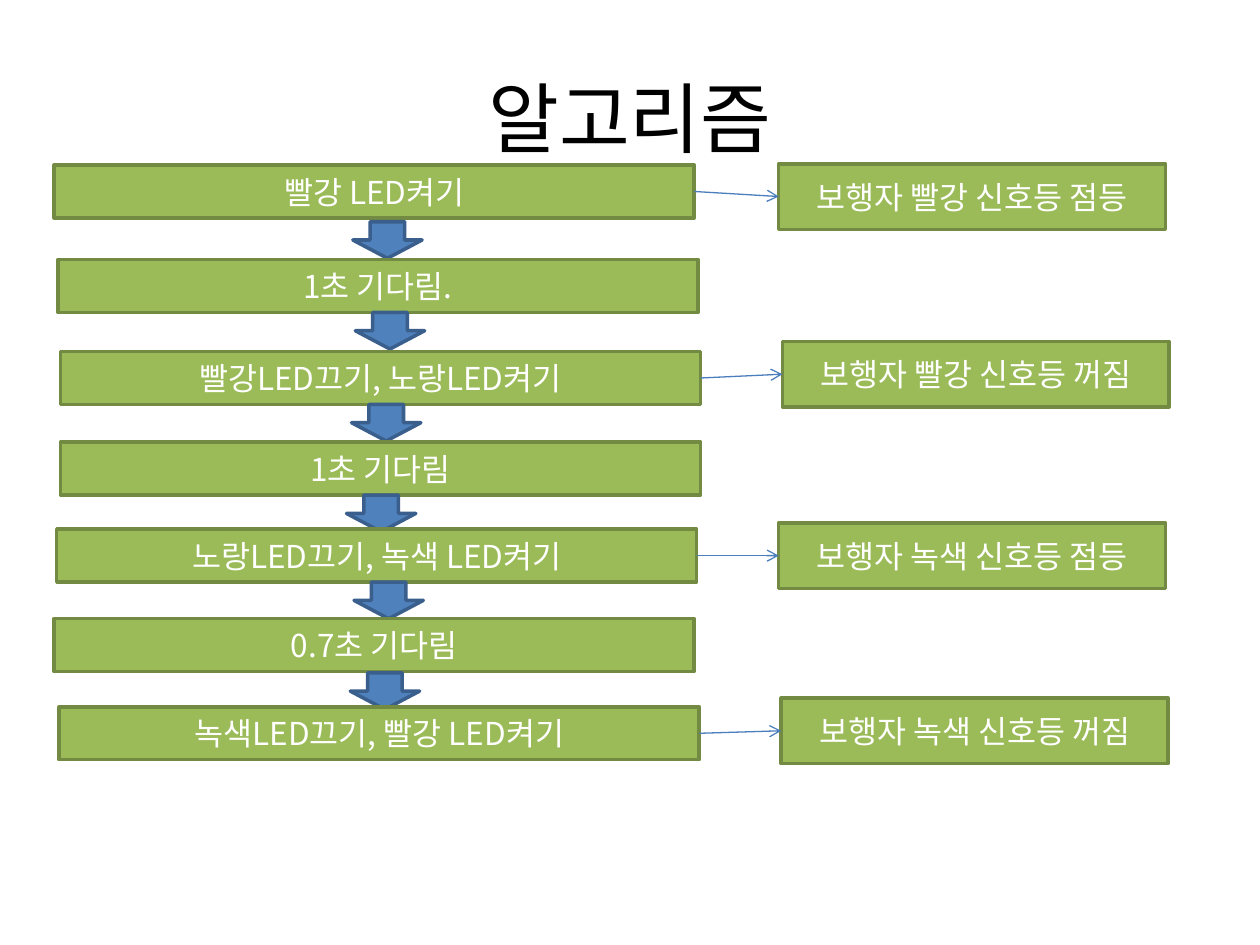
"""Build a flow-chart slide of a traffic-light algorithm."""
from dataclasses import dataclass
from typing import NamedTuple, Optional

from lxml.etree import SubElement
from pptx import Presentation
from pptx.dml.color import RGBColor
from pptx.enum.shapes import MSO_CONNECTOR as Connector, MSO_SHAPE as Preset
from pptx.enum.text import MSO_ANCHOR as Anchor, PP_ALIGN as Align
from pptx.oxml.ns import qn
from pptx.util import Inches, Pt

COLUMNS, ROWS = 100, 75
TOP, LEFT, BOTTOM, RIGHT = range(4)


@dataclass(frozen=True)
class Theme:
    font: str = "Noto Sans CJK KR"
    title_size: int = 44
    body_size: int = 18
    title_color: str = "000000"
    body_color: str = "FFFFFF"
    box_fill: str = "9BBB59"
    box_line: str = "738A42"
    arrow_fill: str = "4F81BD"
    arrow_line: str = "3A5F8C"
    link_color: str = "4B7EBC"
    outline: float = 2
    link_width: float = 0.75


class Spot(NamedTuple):
    column: float
    row: float


class Size(NamedTuple):
    columns: float
    rows: float


class Signal(NamedTuple):
    text: str
    spot: Spot


class Step(NamedTuple):
    text: str
    spot: Spot
    arrow: Optional[Spot] = None
    signal: Optional[Signal] = None


THEME = Theme()
TITLE_SPOT, TITLE_SIZE = Spot(5, 3), Size(90, 12.5)
STEP_SIZE, SIGNAL_SIZE, ARROW_SIZE = Size(50.8, 4.2), Size(30.7, 5.2), Size(5.5, 2.9)

STEPS = (
    Step("빨강 LED켜기", Spot(4.3, 13.1), Spot(28, 17.6),
         Signal("보행자 빨강 신호등 점등", Spot(61.8, 13))),
    Step("1초 기다림.", Spot(4.6, 20.6), Spot(28.2, 24.8)),
    Step("빨강LED끄기, 노랑LED켜기", Spot(4.8, 27.9), Spot(27.9, 32.1),
         Signal("보행자 빨강 신호등 꺼짐", Spot(62.1, 27.1))),
    Step("1초 기다림", Spot(4.8, 35.1), Spot(27.5, 39.3)),
    Step("노랑LED끄기, 녹색 LED켜기", Spot(4.5, 42), Spot(28.1, 46.2),
         Signal("보행자 녹색 신호등 점등", Spot(61.8, 41.5))),
    Step("0.7초 기다림", Spot(4.3, 49.1), Spot(27.8, 53.4)),
    Step("녹색LED끄기, 빨강 LED켜기", Spot(4.7, 56.1),
         signal=Signal("보행자 녹색 신호등 꺼짐", Spot(62, 55.4))),
)


def frame(deck, spot: Spot, size: Size) -> tuple:
    """Turn a grid place and size into slide lengths."""
    column, row = deck.slide_width / COLUMNS, deck.slide_height / ROWS
    return tuple(round(length) for length in (
        spot.column * column, spot.row * row, size.columns * column, size.rows * row))


def write(box, text: str, size: int, color: str) -> None:
    """Put one centred line of text in a box."""
    text_frame = box.text_frame
    text_frame.word_wrap = True
    text_frame.vertical_anchor = Anchor.MIDDLE
    para = text_frame.paragraphs[0]
    para.text = text
    para.alignment = Align.CENTER
    para.font.size = Pt(size)
    para.font.color.rgb = RGBColor.from_string(color)
    para.font.name = THEME.font
    defaults = para._p.pPr.find(qn("a:defRPr"))
    SubElement(defaults, qn("a:ea")).set("typeface", THEME.font)


def draw_shape(deck, page, preset, spot: Spot, size: Size, fill: str, line: str):
    """Draw a filled and outlined preset shape."""
    shape = page.shapes.add_shape(preset, *frame(deck, spot, size))
    shape.shadow.inherit = False
    shape.fill.solid()
    shape.fill.fore_color.rgb = RGBColor.from_string(fill)
    shape.line.color.rgb = RGBColor.from_string(line)
    shape.line.width = Pt(THEME.outline)
    return shape


def draw_box(deck, page, text: str, spot: Spot, size: Size):
    """Draw a green box with its label."""
    box = draw_shape(deck, page, Preset.RECTANGLE, spot, size,
                     THEME.box_fill, THEME.box_line)
    write(box, text, THEME.body_size, THEME.body_color)
    return box


def draw_link(page, start, end) -> None:
    """Join two boxes, right side to left side, with an arrow."""
    link = page.shapes.add_connector(Connector.STRAIGHT, 0, 0, 0, 0)
    link.begin_connect(start, RIGHT)
    link.end_connect(end, LEFT)
    link.line.color.rgb = RGBColor.from_string(THEME.link_color)
    link.line.width = Pt(THEME.link_width)
    SubElement(link.line._get_or_add_ln(), qn("a:tailEnd")).set("type", "arrow")
    SubElement(link._element.spPr, qn("a:effectLst"))


def draw_step(deck, page, step: Step) -> None:
    """Draw a step with its down arrow and its linked signal."""
    box = draw_box(deck, page, step.text, step.spot, STEP_SIZE)
    if step.arrow:
        draw_shape(deck, page, Preset.DOWN_ARROW, step.arrow, ARROW_SIZE,
                   THEME.arrow_fill, THEME.arrow_line)
    if step.signal:
        signal = draw_box(deck, page, step.signal.text, step.signal.spot, SIGNAL_SIZE)
        draw_link(page, box, signal)


def main() -> None:
    """Build and save the deck."""
    deck = Presentation()
    deck.slide_width, deck.slide_height = Inches(10), Inches(7.5)
    page = deck.slides.add_slide(deck.slide_layouts[6])
    title = page.shapes.add_textbox(*frame(deck, TITLE_SPOT, TITLE_SIZE))
    write(title, "알고리즘", THEME.title_size, THEME.title_color)
    for step in STEPS:
        draw_step(deck, page, step)
    deck.save("out.pptx")


if __name__ == "__main__":
    main()
